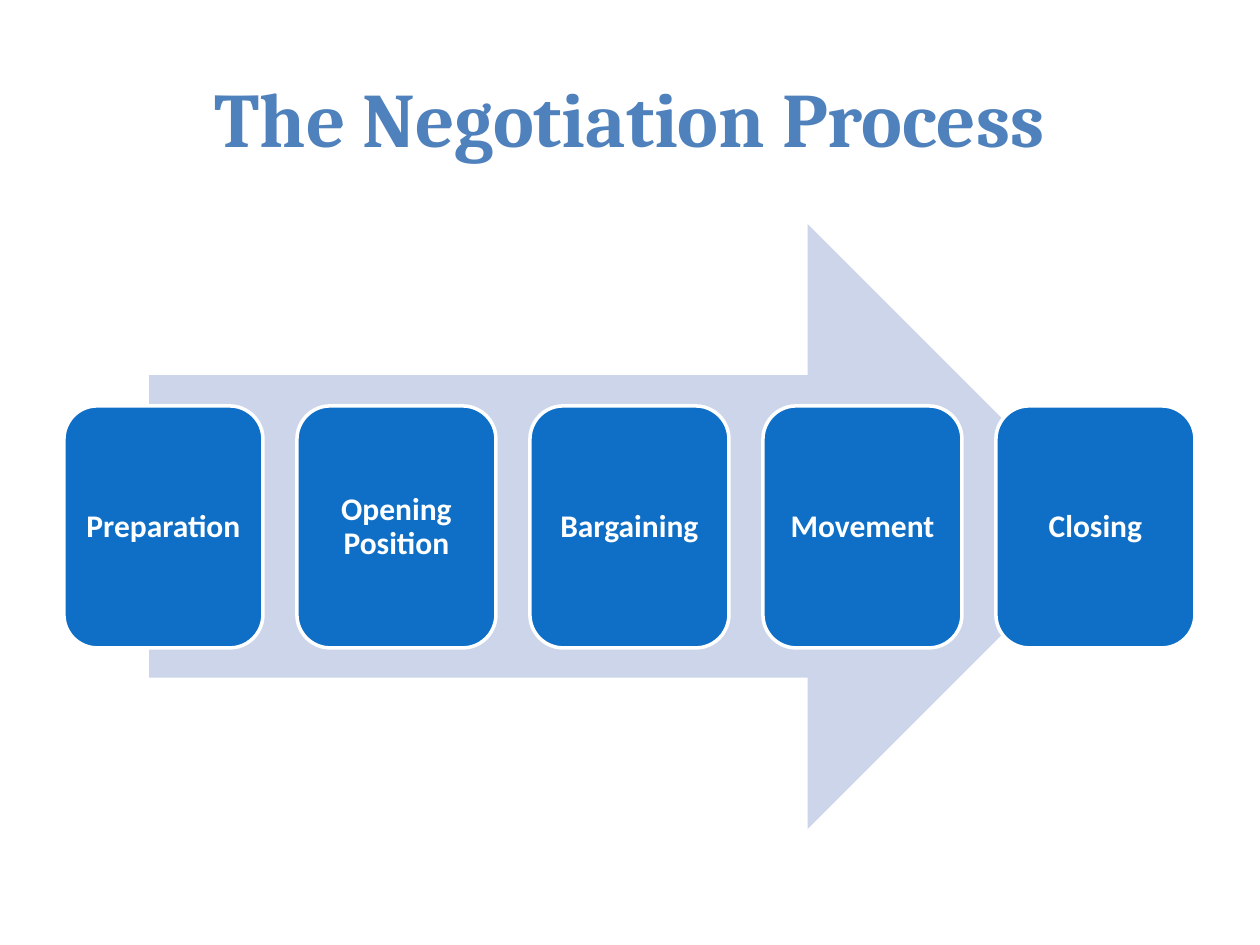
from dataclasses import dataclass

from pptx import Presentation
from pptx.dml.color import RGBColor
from pptx.enum.shapes import MSO_SHAPE as Kind
from pptx.enum.text import MSO_ANCHOR as Anchor, PP_ALIGN as Align
from pptx.shapes.autoshape import Shape
from pptx.slide import Slide
from pptx.util import Emu, Pt

SCALE = 914400 / 126  # EMU per px
BLUE, WHITE = "0F6FC6", "FFFFFF"
STEPS = ["Preparation", "Opening Position", "Bargaining", "Movement", "Closing"]


@dataclass
class Box:
    left: int
    top: int
    width: int
    height: int

    def emu(self) -> list[Emu]:
        return [px(n) for n in (self.left, self.top, self.width, self.height)]


def px(n: int) -> Emu:
    return Emu(round(n * SCALE))


def color(code: str) -> RGBColor:
    return RGBColor.from_string(code)


def write(shape: Shape, text: str, font: str, size: int, code: str) -> None:
    frame = shape.text_frame
    frame.word_wrap = True
    frame.vertical_anchor = Anchor.MIDDLE
    par = frame.paragraphs[0]
    par.text = text
    par.alignment = Align.CENTER
    par.font.name = font
    par.font.size = Pt(size)
    par.font.bold = True
    par.font.color.rgb = color(code)


def block(slide: Slide, kind: Kind, box: Box, fill: str) -> Shape:
    shape = slide.shapes.add_shape(kind, *box.emu())
    shape.shadow.inherit = False
    shape.fill.solid()
    shape.fill.fore_color.rgb = color(fill)
    shape.line.fill.background()
    return shape


def card(slide: Slide, box: Box, text: str) -> None:
    shape = block(slide, Kind.ROUNDED_RECTANGLE, box, BLUE)
    shape.line.color.rgb = color(WHITE)
    shape.line.width = Pt(2)
    write(shape, text, "Calibri", 18, WHITE)
    frame = shape.text_frame
    frame.margin_left = frame.margin_right = px(9)
    frame.margin_top = frame.margin_bottom = px(9)
    frame.paragraphs[0].line_spacing = 0.9


def main() -> None:
    deck = Presentation()
    deck.slide_width, deck.slide_height = px(1260), px(945)
    slide = deck.slides.add_slide(deck.slide_layouts[6])

    # Title
    title = slide.shapes.add_textbox(*Box(63, 38, 1134, 157).emu())
    write(title, "The Negotiation Process", "Cambria", 44, "4F81BD")

    # Arrow behind the steps
    block(slide, Kind.RIGHT_ARROW, Box(149, 224, 961, 605), "CCD5EA")

    # Steps at an even pitch
    for i, text in enumerate(STEPS):
        card(slide, Box(64 + i * 233, 406, 199, 242), text)

    deck.save("out.pptx")


if __name__ == "__main__":
    main()
